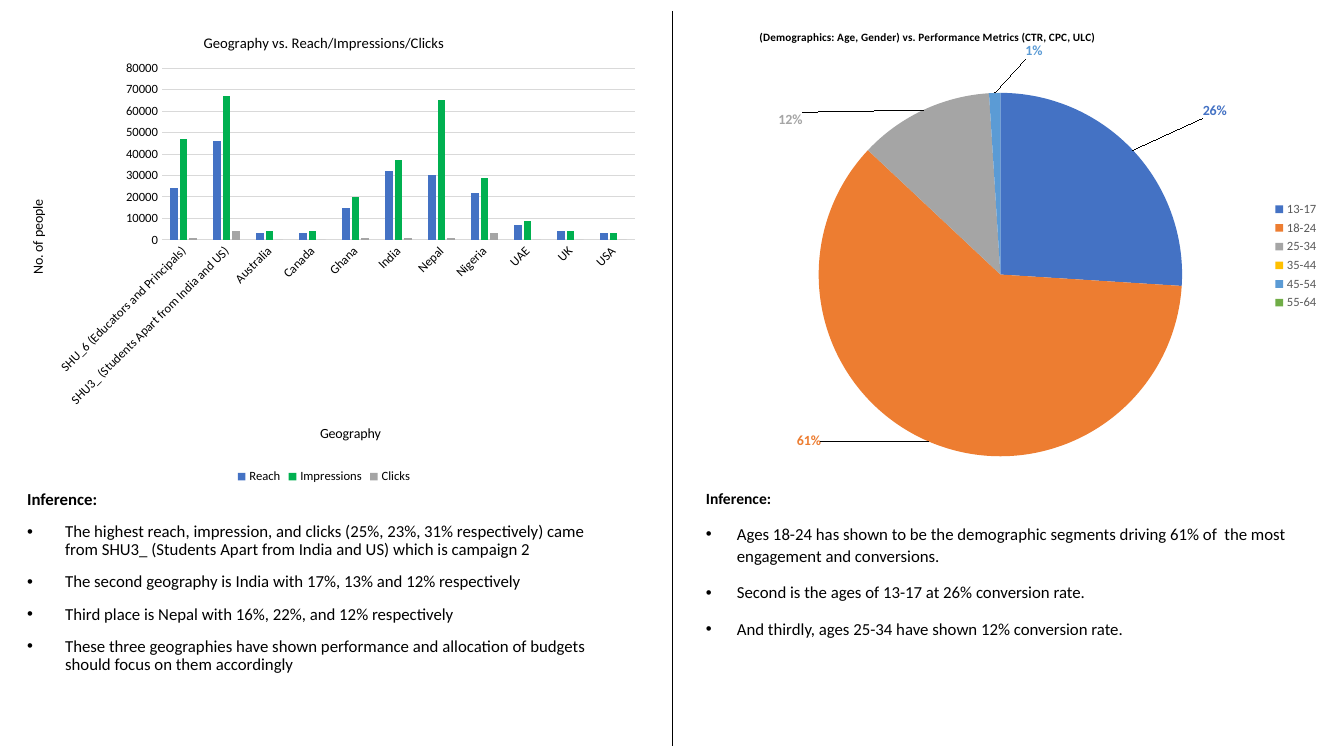
from dataclasses import dataclass

import lxml.etree
import pptx
import pptx.chart.data
import pptx.dml.color
import pptx.enum.chart
import pptx.enum.shapes
import pptx.enum.text
import pptx.oxml
import pptx.oxml.ns
import pptx.util

FONT = "Calibri"
BLACK, GRID, GREY = "000000", "D9D9D9", "A5A5A5"
qn = pptx.oxml.ns.qn


@dataclass
class Series:
    name: str
    color: str
    values: tuple[int, ...]


@dataclass
class AgeSlice:
    name: str
    percent: int
    color: str
    shift: tuple[int, int]  # label offset in px


@dataclass
class Inference:
    box: tuple[int, int, int, int]
    heading_size: float
    indent: int
    spacing: float
    bullets: tuple[str, ...]


COUNTRIES = (
    "SHU_6 (Educators and Principals)", "SHU3_ (Students Apart from India and US)",
    "Australia", "Canada", "Ghana", "India", "Nepal", "Nigeria", "UAE", "UK", "USA",
)
REACH = (
    Series("Reach", "4472C4", (24000, 46000, 3000, 3000, 15000, 32000, 30000, 22000, 7000, 4000, 3000)),
    Series("Impressions", "00B050", (47000, 67000, 4000, 4000, 20000, 37000, 65000, 29000, 9000, 4000, 3000)),
    Series("Clicks", GREY, (1000, 4000, 0, 0, 1000, 1000, 1000, 3000, 0, 0, 0)),
)
AGES = (
    AgeSlice("13-17", 26, "4472C4", (63, -28)),
    AgeSlice("18-24", 61, "ED7D31", (-106, -13)),
    AgeSlice("25-34", 12, GREY, (-115, 22)),
    AgeSlice("35-44", 0, "FFC000", (-152, -27)),
    AgeSlice("45-54", 1, "5B9BD5", (42, -28)),
    AgeSlice("55-64", 0, "70AD47", (94, -22)),
)
GEOGRAPHY_TEXT = Inference((17, 488, 609, 198), 12, 38, 0.9, (
    "The highest reach, impression, and clicks (25%, 23%, 31% respectively) came from "
    "SHU3_ (Students Apart from India and US) which is campaign 2",
    "The second geography is India with 17%, 13% and 12% respectively",
    "Third place is Nepal with 16%, 22%, and 12% respectively",
    "These three geographies have shown performance and allocation of budgets should "
    "focus on them accordingly",
))
AGE_TEXT = Inference((696, 488, 609, 155), 11.1, 31, 1.1, (
    "Ages 18-24 has shown to be the demographic segments driving 61% of  the most "
    "engagement and conversions.",
    "Second is the ages of 13-17 at 26% conversion rate.",
    "And thirdly, ages 25-34 have shown 12% conversion rate.",
))
COLUMN_BOX = (0, 11, 648, 477)
PIE_BOX = (672, 23, 657, 466)


def px(length: int) -> pptx.util.Emu:
    return pptx.util.Emu(round(length * 914400 / 100.8))


def rgb(color: str) -> pptx.dml.color.RGBColor:
    return pptx.dml.color.RGBColor.from_string(color)


def style(font, size: float, color: str = BLACK, bold: bool = False) -> None:
    font.name, font.size, font.bold = FONT, pptx.util.Pt(size), bold
    font.color.rgb = rgb(color)


def add_para(frame, text: str, *, first: bool = False, size: float = 12,
             bold: bool = False, spacing: float = 0.8, indent: int = 0) -> None:
    para = frame.paragraphs[0] if first else frame.add_paragraph()
    para.alignment = pptx.enum.text.PP_ALIGN.LEFT
    para.line_spacing, para.space_before = spacing, pptx.util.Pt(10)
    span = para.add_run()
    span.text = text
    style(span.font, size, bold=bold)
    if indent:
        props = para._p.get_or_add_pPr()
        props.set("marL", str(px(indent)))
        props.set("indent", str(-px(indent)))
        lxml.etree.SubElement(props, qn("a:buFont"), typeface="Arial")
        lxml.etree.SubElement(props, qn("a:buChar"), char="•")


def fill_inference(box, inference: Inference) -> None:
    box.left, box.top, box.width, box.height = map(px, inference.box)
    frame = box.text_frame
    frame.word_wrap = True
    frame.auto_size = pptx.enum.text.MSO_AUTO_SIZE.NONE
    frame.vertical_anchor = pptx.enum.text.MSO_ANCHOR.TOP
    add_para(frame, "Inference:", first=True, size=inference.heading_size, bold=True)
    for bullet in inference.bullets:
        add_para(frame, bullet, spacing=inference.spacing, indent=inference.indent)


def place(element, **settings: str | float) -> None:
    """Give a chart part a manual layout."""
    layout = element.find(qn("c:layout"))
    if layout is None:
        layout = lxml.etree.Element(qn("c:layout"))
        leads = [child for child in element if child.tag in (qn("c:tx"), qn("c:idx"))]
        element.insert(len(leads), layout)
    manual = lxml.etree.SubElement(layout, qn("c:manualLayout"))
    for name, value in settings.items():
        lxml.etree.SubElement(manual, qn(f"c:{name}"), val=str(value))


def place_plot(chart, x: float, y: float, w: float, h: float) -> None:
    place(chart._chartSpace.chart.plotArea, layoutTarget="inner",
          xMode="edge", yMode="edge", x=x, y=y, w=w, h=h)


def set_title(title, text: str, size: float, x: float, y: float, bold: bool = False) -> None:
    span = title.text_frame.paragraphs[0].add_run()
    span.text = text
    style(span.font, size, bold=bold)
    place(title._element, xMode="edge", yMode="edge", x=x, y=y)


def add_chart(page, kind, box, categories, series, legend_position, legend_color: str = BLACK):
    data = pptx.chart.data.CategoryChartData()
    data.categories = categories
    for name, values in series:
        data.add_series(name, values)
    chart = page.shapes.add_chart(kind, *map(px, box), data).chart
    style(chart.font, 10)
    chart.has_title = chart.has_legend = True
    chart.legend.position = legend_position
    chart.legend.include_in_layout = False
    style(chart.legend.font, 9, legend_color)
    return chart


def add_geography_chart(page) -> None:
    kinds = pptx.enum.chart
    chart = add_chart(page, kinds.XL_CHART_TYPE.COLUMN_CLUSTERED, COLUMN_BOX, COUNTRIES,
                      [(item.name, item.values) for item in REACH], kinds.XL_LEGEND_POSITION.BOTTOM)
    set_title(chart.chart_title, "Geography vs. Reach/Impressions/Clicks", 10.5, 0.31, 0.04)
    place_plot(chart, 0.25, 0.12, 0.73, 0.36)
    plot = chart.plots[0]
    plot.gap_width, plot.overlap, plot.vary_by_categories = 219, -27, False
    for series, item in zip(plot.series, REACH):
        series.format.fill.solid()
        series.format.fill.fore_color.rgb = rgb(item.color)
    for axis, title, x, y in ((chart.category_axis, "Geography", 0.49, 0.86),
                              (chart.value_axis, "No. of people", 0.04, 0.39)):
        axis.major_tick_mark = kinds.XL_TICK_MARK.NONE
        style(axis.tick_labels.font, 9)
        set_title(axis.axis_title, title, 10, x, y)
    chart.category_axis.tick_labels.font._element.getparent().getparent().getparent()
    chart.category_axis._element.find(qn("c:txPr")).find(qn("a:bodyPr")).set("rot", "-2700000")
    chart.value_axis.axis_title.text_frame._txBody.bodyPr.set("rot", "-5400000")
    chart.value_axis.maximum_scale, chart.value_axis.major_unit = 80000, 10000
    chart.value_axis.format.line.fill.background()
    for line in (chart.category_axis.format.line, chart.value_axis.major_gridlines.format.line):
        line.color.rgb, line.width = rgb(GRID), pptx.util.Pt(0.75)


def add_age_chart(page) -> None:
    kinds = pptx.enum.chart
    chart = add_chart(page, kinds.XL_CHART_TYPE.PIE, PIE_BOX, [age.name for age in AGES],
                      [("Series 1", [age.percent for age in AGES])],
                      kinds.XL_LEGEND_POSITION.RIGHT, "595959")
    set_title(chart.chart_title, "(Demographics: Age, Gender) vs. Performance Metrics (CTR, CPC, ULC)",
              8, 0.13, 0.01, bold=True)
    place_plot(chart, 0.22, 0.15, 0.56, 0.78)
    series = chart.plots[0].series[0]
    labels = series.data_labels
    labels.show_percentage, labels.show_value = True, False
    for index, age in enumerate(AGES):
        point = series.points[index]
        point.format.fill.solid()
        point.format.fill.fore_color.rgb = rgb(age.color)
        style(point.data_label.font, 10, age.color, bold=True)
        point.data_label.position = kinds.XL_LABEL_POSITION.OUTSIDE_END
        label = labels._element.findall(qn("c:dLbl"))[index]
        label.find(qn("c:showVal")).set("val", "0")
        label.find(qn("c:showPercent")).set("val", "1")
        place(label, x=round(age.shift[0] / PIE_BOX[2], 2), y=round(age.shift[1] / PIE_BOX[3], 2))


# Page with the left text in its subtitle placeholder
deck = pptx.Presentation()
deck.slide_width, deck.slide_height = px(1344), px(756)
page = deck.slides.add_slide(deck.slide_layouts[0])
title = page.shapes.title._element
title.getparent().remove(title)
fill_inference(page.placeholders[1], GEOGRAPHY_TEXT)

# Divider
divider = page.shapes.add_connector(pptx.enum.shapes.MSO_CONNECTOR.STRAIGHT,
                                    px(672), px(11), px(672), px(746))
divider.line.color.rgb, divider.line.width = rgb(BLACK), pptx.util.Pt(0.5)
lxml.etree.SubElement(divider._element.spPr, qn("a:effectLst"))

# Right text and both charts
fill_inference(page.shapes.add_textbox(0, 0, 0, 0), AGE_TEXT)
add_geography_chart(page)
add_age_chart(page)
deck.save("out.pptx")
